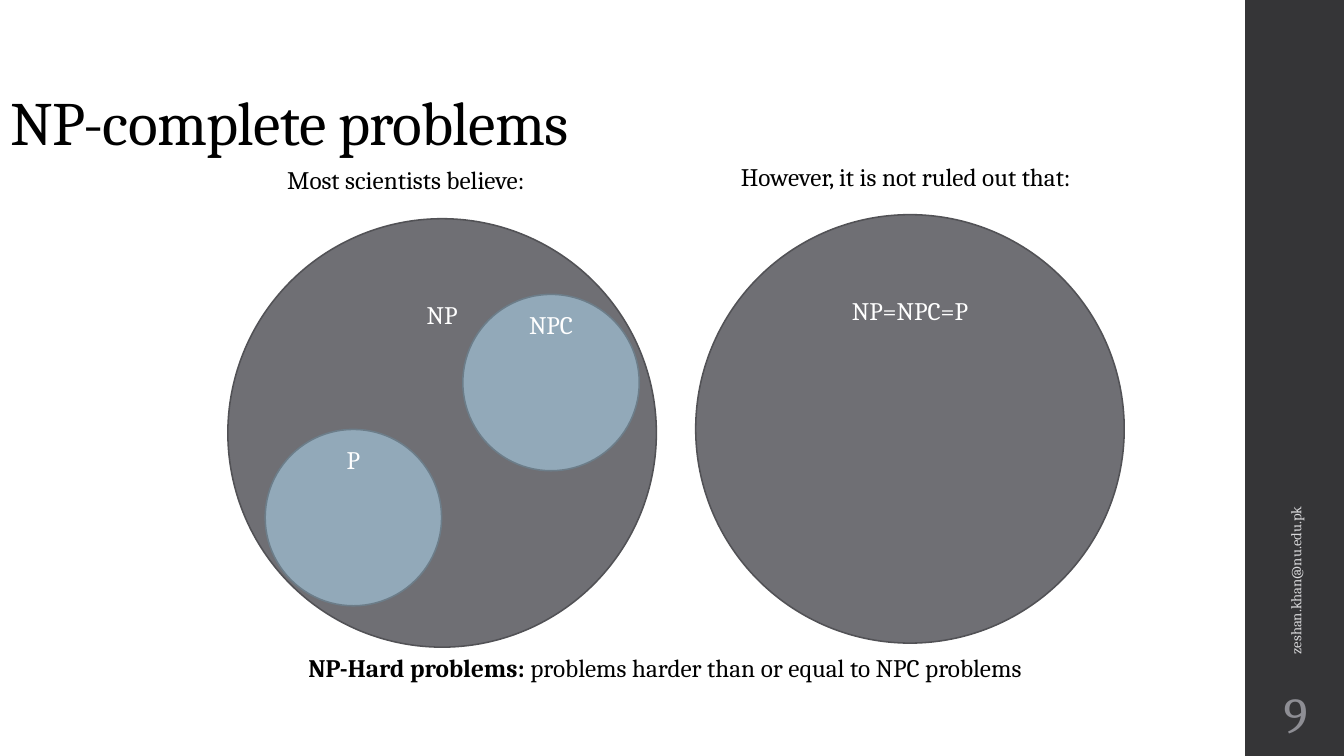
from pptx import Presentation
from pptx.dml.color import RGBColor
from pptx.enum.shapes import MSO_SHAPE
from pptx.enum.text import MSO_ANCHOR, PP_ALIGN
from pptx.util import Inches, Pt

COLORS = {
    "black": "000000", "white": "FFFFFF", "sidebar": "353537",
    "email": "D9D9DB", "number": "8E8E94",
    "outer": "6F6F74", "outer_line": "525256",
    "inner": "92A9B9", "inner_line": "6C7D89",
}


def style(p, size, color, align=PP_ALIGN.LEFT):
    p.alignment = align
    p.font.name = "Cambria"
    p.font.size = Pt(size)
    p.font.color.rgb = RGBColor.from_string(COLORS[color])


def add_text(text, x, y, w, h, size=18, color="black", align=PP_ALIGN.LEFT):
    sp = s.shapes.add_textbox(Inches(x), Inches(y), Inches(w), Inches(h))
    sp.text_frame.word_wrap = True
    p = sp.text_frame.paragraphs[0]
    p.text = text
    style(p, size, color, align)
    return sp


prs = Presentation()
prs.slide_width, prs.slide_height = Inches(13.33), Inches(7.5)
s = prs.slides.add_slide(prs.slide_layouts[5])

# Sidebar with contact and slide number
sidebar = s.shapes.add_shape(MSO_SHAPE.RECTANGLE, Inches(12.35), 0, Inches(1), Inches(7.5))
sidebar.shadow.inherit = False
sidebar.fill.solid()
sidebar.fill.fore_color.rgb = RGBColor.from_string(COLORS["sidebar"])
sidebar.line.fill.background()

email = add_text("zeshan.khan@nu.edu.pk", 10.89, 4.43, 3.92, 0.4, 10.5, "email")
email.rotation = 270
number = add_text("9", 12.35, 6.75, 1, 0.65, 36, "number", PP_ALIGN.CENTER)
for sp in (email, number):
    sp.text_frame.vertical_anchor = MSO_ANCHOR.MIDDLE

# Title
title = s.shapes.title
title.left, title.top = Inches(0), Inches(0.2)
title.width, title.height = Inches(10.5), Inches(1.43)
tf = title.text_frame
tf.vertical_anchor = MSO_ANCHOR.BOTTOM
p = tf.paragraphs[0]
r = p.add_run()
r.text = "NP-complete problems"
r._r.get_or_add_rPr().set("spc", "-50")
style(p, 44, "black")
p.line_spacing = 0.9

# Complexity classes: label, left, top, diameter, colour, label inset
circles = [
    ("NP", 2.26, 2.17, 4.25, "outer", 0.18),
    ("P", 2.63, 4.26, 1.75, "inner", -0.11),
    ("NPC", 4.59, 2.92, 1.75, "inner", -0.11),
    ("NP=NPC=P", 6.9, 2.13, 4.25, "outer", 0.18),
]
for label, x, y, d, color, inset in circles:
    sp = s.shapes.add_shape(MSO_SHAPE.OVAL, Inches(x), Inches(y), Inches(d), Inches(d))
    sp.shadow.inherit = False
    sp.fill.solid()
    sp.fill.fore_color.rgb = RGBColor.from_string(COLORS[color])
    sp.line.color.rgb = RGBColor.from_string(COLORS[color + "_line"])
    sp.line.width = Pt(1.1)
    tf = sp.text_frame
    tf.vertical_anchor = MSO_ANCHOR.TOP
    tf.margin_top = Inches(inset)
    p = tf.paragraphs[0]
    p.text = label
    style(p, 18, "white", PP_ALIGN.CENTER)

# Captions
add_text("Most scientists believe:", 2.75, 1.58, 2.83, 0.4)
add_text("However, it is not ruled out that:", 7.25, 1.55, 3.75, 0.4)
hard = add_text("NP-Hard problems: ", 2.96, 6.42, 7.42, 0.4)
p = hard.text_frame.paragraphs[0]
p.runs[0].font.bold = True
p.add_run().text = "problems harder than or equal to NPC problems"

prs.save("out.pptx")
